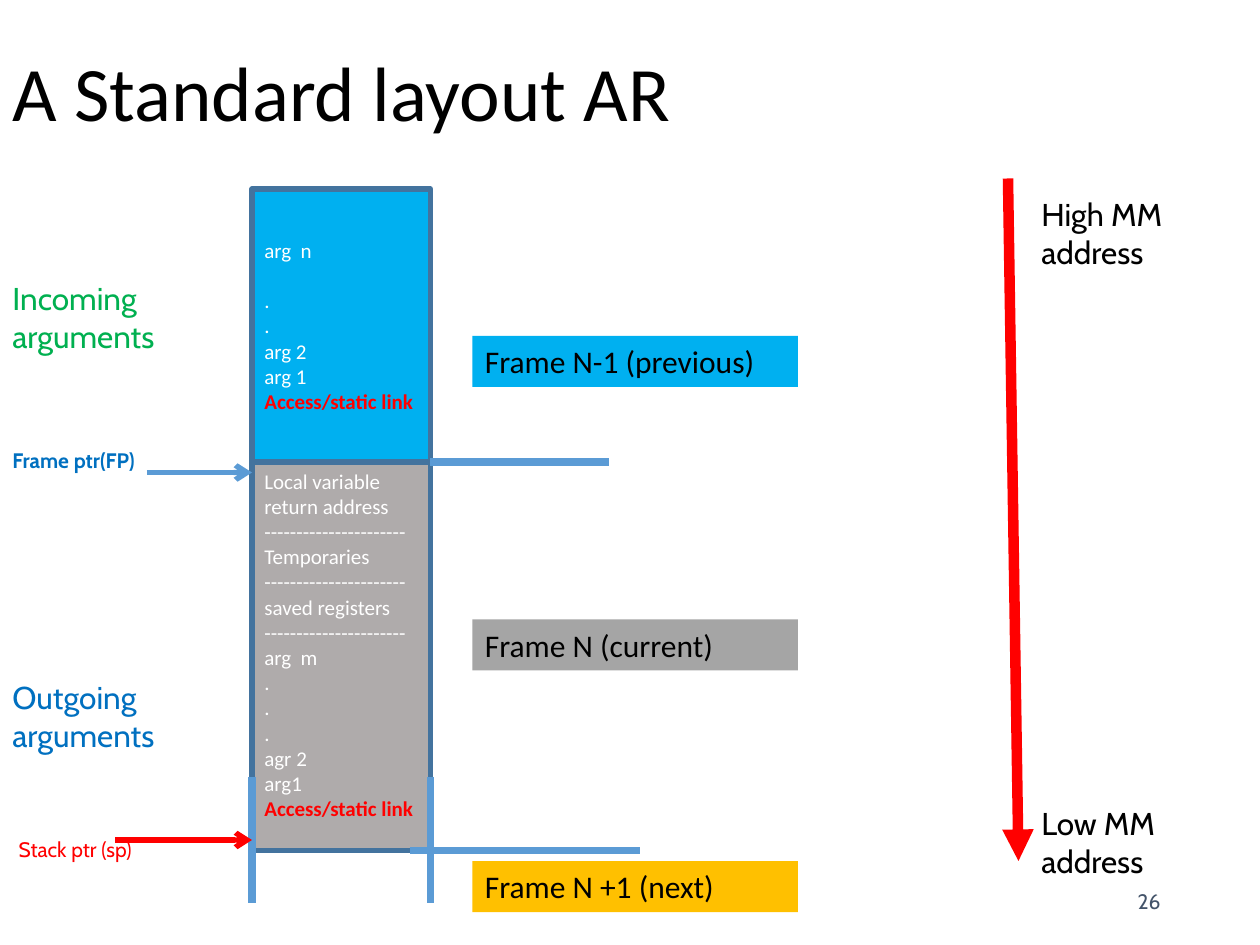
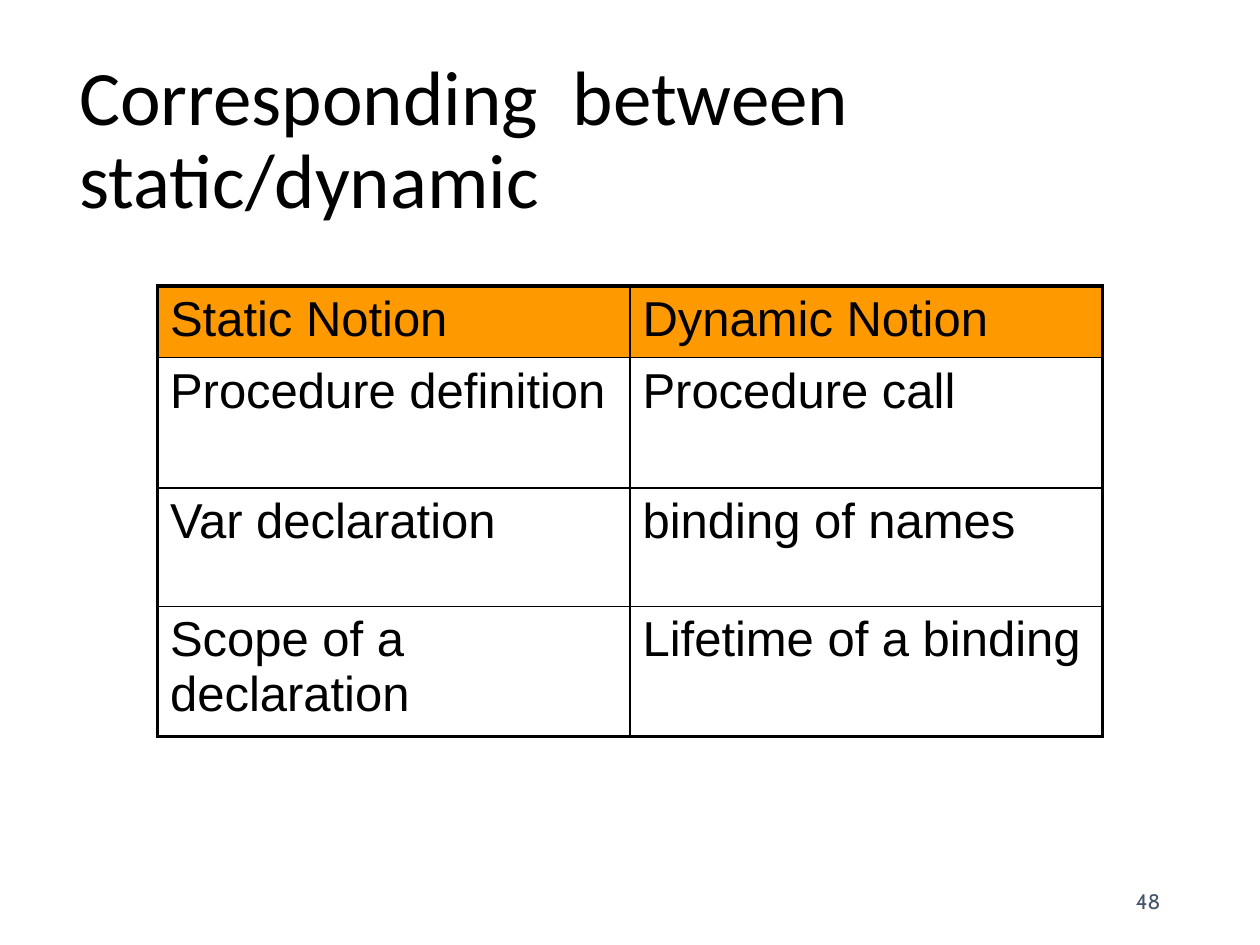
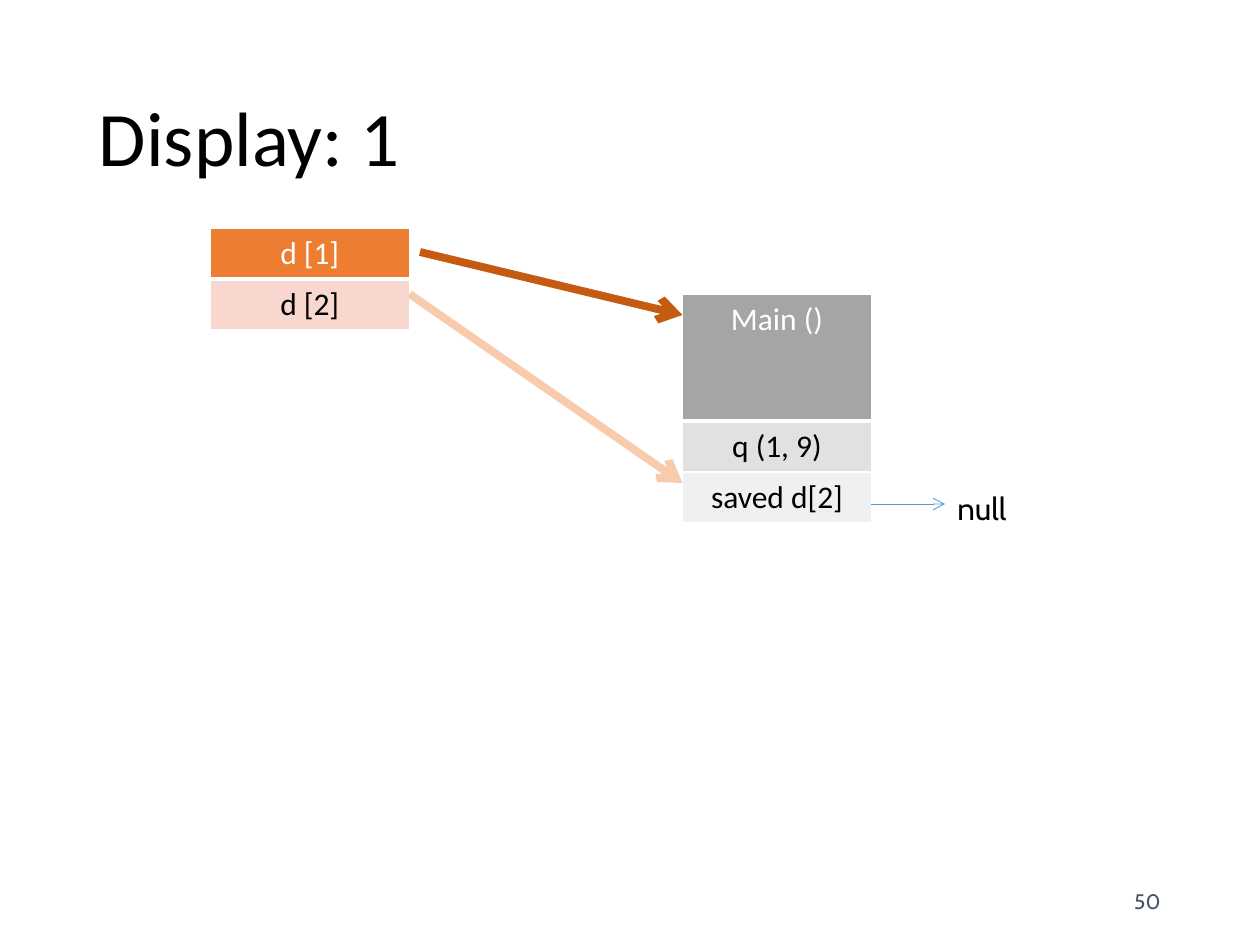
"""Build three slides on activation records: frame layout, notions and display."""
from dataclasses import dataclass
from typing import Optional

from lxml.etree import SubElement
from pptx import Presentation
from pptx.dml.color import RGBColor
from pptx.enum.shapes import MSO_CONNECTOR as Connector, MSO_SHAPE as Preset
from pptx.enum.text import MSO_ANCHOR as Anchor, PP_ALIGN as Align
from pptx.oxml.ns import qn
from pptx.slide import Slide
from pptx.text.text import TextFrame
from pptx.util import Emu, Inches, Pt

WIDTH, HEIGHT = Inches(10), Inches(7.5)
COLUMNS, ROWS = 120, 90


@dataclass(frozen=True)
class Theme:
    """Colours, fonts and type sizes of the deck."""
    ink: str = "000000"
    paper: str = "FFFFFF"
    slate: str = "44546A"
    red: str = "FF0000"
    green: str = "00B050"
    blue: str = "0070C0"
    sky: str = "00B0F0"
    steel: str = "5B9BD5"
    outline: str = "43739E"
    gray: str = "A5A5A5"
    warm_gray: str = "AFABAB"
    mid_gray: str = "E1E1E1"
    pale_gray: str = "F0F0F0"
    gold: str = "FFC000"
    amber: str = "FF9900"
    orange: str = "ED7D31"
    blush: str = "F8D7CE"
    rust: str = "C55A11"
    peach: str = "F8CBAD"
    body_font: str = "Calibri"
    note_font: str = "Cabin"
    table_font: str = "Arial"
    title_size: int = 44
    table_size: int = 28
    label_size: int = 18
    small_size: int = 12


THEME = Theme()


@dataclass(frozen=True)
class Area:
    """A rectangle in grid columns and rows."""
    left: float
    top: float
    width: float
    height: float

    def emu(self) -> tuple[Emu, Emu, Emu, Emu]:
        """Return left, top, width and height as lengths."""
        return across(self.left), down(self.top), across(self.width), down(self.height)


@dataclass(frozen=True)
class Style:
    """How a piece of text looks."""
    size: int
    font: str = THEME.body_font
    color: str = THEME.ink
    bold: bool = False
    align: Align = Align.LEFT


@dataclass(frozen=True)
class Note:
    """Free text on the slide."""
    text: str
    area: Area
    style: Style
    anchor: Anchor = Anchor.TOP


@dataclass(frozen=True)
class Block:
    """A filled rectangle with text."""
    text: str
    area: Area
    fill: str
    style: Style
    anchor: Anchor = Anchor.TOP
    outlined: bool = False


@dataclass(frozen=True)
class Stroke:
    """A straight line between two grid points."""
    start: tuple[float, float]
    end: tuple[float, float]
    color: str
    weight: float
    head: Optional[str] = None


@dataclass(frozen=True)
class Grid:
    """A table with one fill and text colour per row."""
    cells: list[list[str]]
    area: Area
    heights: list[float]
    fills: list[Optional[str]]
    inks: list[str]
    style: Style
    border: str
    outer: float
    inner: float
    below_header: float


TITLE = Style(THEME.title_size)
NUMBER = Style(THEME.small_size, THEME.note_font, THEME.slate, align=Align.RIGHT)
LABEL = Style(THEME.label_size)
SLOT = Style(THEME.small_size, color=THEME.paper)
LINK = Style(THEME.small_size, color=THEME.red, bold=True)
CELL = Style(THEME.label_size, align=Align.CENTER)
NUMBER_AREA = Area(84.7, 83.4, 27, 4.8)
SLOT_LINE = 14.5
LABEL_ROW = 4.86


def across(columns: float) -> Emu:
    """Turn grid columns into a length."""
    return Emu(round(WIDTH * columns / COLUMNS))


def down(rows: float) -> Emu:
    """Turn grid rows into a length."""
    return Emu(round(HEIGHT * rows / ROWS))


def note_style(color: str, size: int = THEME.label_size, bold: bool = False) -> Style:
    """Return the style of a margin note."""
    return Style(size, THEME.note_font, color, bold)


def apply_style(paragraph, style: Style) -> None:
    """Format the runs and alignment of one paragraph."""
    paragraph.alignment = style.align
    for run in paragraph.runs:
        run.font.size = Pt(style.size)
        run.font.name = style.font
        run.font.bold = style.bold
        run.font.color.rgb = RGBColor.from_string(style.color)


def write(frame: TextFrame, text: str, style: Style, anchor: Anchor) -> None:
    """Fill a text frame with styled text."""
    frame.word_wrap = True
    frame.vertical_anchor = anchor
    frame.text = text
    for paragraph in frame.paragraphs:
        apply_style(paragraph, style)


def draw_note(slide: Slide, note: Note) -> TextFrame:
    """Draw free text and return its frame."""
    frame = slide.shapes.add_textbox(*note.area.emu()).text_frame
    write(frame, note.text, note.style, note.anchor)
    return frame


def draw_block(slide: Slide, block: Block) -> TextFrame:
    """Draw a filled rectangle and return its text frame."""
    shape = slide.shapes.add_shape(Preset.RECTANGLE, *block.area.emu())
    shape.shadow.inherit = False
    shape.fill.solid()
    shape.fill.fore_color.rgb = RGBColor.from_string(block.fill)
    if block.outlined:
        shape.line.color.rgb = RGBColor.from_string(THEME.outline)
        shape.line.width = Pt(3)
    else:
        shape.line.fill.background()
    write(shape.text_frame, block.text, block.style, block.anchor)
    return shape.text_frame


def draw_stroke(slide: Slide, stroke: Stroke) -> None:
    """Draw a straight line, with an arrowhead if it has one."""
    (x1, y1), (x2, y2) = stroke.start, stroke.end
    connector = slide.shapes.add_connector(
        Connector.STRAIGHT, across(x1), down(y1), across(x2), down(y2))
    connector.line.color.rgb = RGBColor.from_string(stroke.color)
    connector.line.width = Pt(stroke.weight)
    properties = connector.element.spPr
    if stroke.head:
        SubElement(properties.find(qn("a:ln")), qn("a:tailEnd"), type=stroke.head)
    SubElement(properties, qn("a:effectLst"))


def draw_border(cell, side: str, color: str, weight: float) -> None:
    """Add one border line to a table cell."""
    line = SubElement(cell._tc.get_or_add_tcPr(), qn(f"a:ln{side}"), w=str(Pt(weight)))
    SubElement(SubElement(line, qn("a:solidFill")), qn("a:srgbClr"), val=color)


def draw_grid(slide: Slide, grid: Grid) -> None:
    """Draw a table with its fills and borders."""
    last_row, last_column = len(grid.cells) - 1, len(grid.cells[0]) - 1
    table = slide.shapes.add_table(last_row + 1, last_column + 1, *grid.area.emu()).table
    table.first_row = table.horz_banding = False
    for r, texts in enumerate(grid.cells):
        table.rows[r].height = down(grid.heights[r])
        base = grid.style
        style = Style(base.size, base.font, grid.inks[r], base.bold, base.align)
        for c, text in enumerate(texts):
            cell = table.cell(r, c)
            at_edge = {"L": c == 0, "R": c == last_column, "T": r == 0, "B": r == last_row}
            for side, is_outer in at_edge.items():
                weight = grid.outer if is_outer else grid.inner
                if r == 0 and side == "B":
                    weight = grid.below_header
                draw_border(cell, side, grid.border, weight)
            if grid.fills[r]:
                cell.fill.solid()
                cell.fill.fore_color.rgb = RGBColor.from_string(grid.fills[r])
            else:
                cell.fill.background()
            cell.text_frame.text = text
            apply_style(cell.text_frame.paragraphs[0], style)


def start_slide(deck, title: str, area: Area, number: int, indent: float = 0) -> Slide:
    """Add a blank slide with its title and number."""
    slide = deck.slides.add_slide(deck.slide_layouts[6])
    frame = draw_note(slide, Note(title, area, TITLE, Anchor.MIDDLE))
    frame.margin_left += across(indent)
    frame.paragraphs[0].line_spacing = 0.9
    draw_note(slide, Note(str(number), NUMBER_AREA, NUMBER, Anchor.MIDDLE))
    return slide


def build_layout(deck) -> None:
    """Build the slide on the standard record layout."""
    slide = start_slide(deck, "A Standard layout AR", Area(0, 0, 108, 18.4), 26)
    left, right, frame_top, frame_bottom = 24, 41, 44, 81
    width = right - left
    dashes = "-" * 22
    previous = draw_block(slide, Block(
        "arg  n\n.\n.\narg 2\narg 1\nAccess/static link",
        Area(left, 18, width, frame_top - 18), THEME.sky, SLOT, Anchor.MIDDLE, True))
    previous.paragraphs[1].space_before = Pt(SLOT_LINE)
    current = draw_block(slide, Block(
        f"Local variable\nreturn address\n{dashes}\nTemporaries\n{dashes}saved registers\n"
        f"{dashes}arg  m\n.\n.\n.\nagr 2\narg1\nAccess/static link",
        Area(left, frame_top, width, frame_bottom - frame_top), THEME.warm_gray, SLOT,
        outlined=True))
    for frame in (previous, current):
        apply_style(frame.paragraphs[-1], LINK)

    for text, top, fill in (("Frame N-1 (previous)", 32, THEME.sky),
                            ("Frame N (current)", 59, THEME.gray),
                            ("Frame N +1 (next)", 82, THEME.gold)):
        draw_block(slide, Block(text, Area(45, top, 31, LABEL_ROW), fill, LABEL))

    for stroke in (
            Stroke((right, frame_top), (58, frame_top), THEME.steel, 4.5),
            Stroke((39, frame_bottom), (61, frame_bottom), THEME.steel, 4.5),
            Stroke((left, 74), (left, 86), THEME.steel, 4.5),
            Stroke((right, 74), (right, 86), THEME.steel, 4.5),
            Stroke((11, 80), (left, 80), THEME.red, 3, "arrow"),
            Stroke((14, 45), (left, 45), THEME.steel, 3, "arrow"),
            Stroke((96, 17), (97, 82), THEME.red, 6, "triangle")):
        draw_stroke(slide, stroke)

    small = THEME.small_size
    for note in (
            Note("Stack ptr (sp)", Area(0.6, 79.1, 31, 3.6), note_style(THEME.red, small)),
            Note("Frame ptr(FP)", Area(0, 42, 31, 3.6), note_style(THEME.blue, small, True)),
            Note("Incoming\narguments", Area(0, 26, 22, 8.5), note_style(THEME.green)),
            Note("Outgoing\narguments", Area(0, 64, 20, 8.5), note_style(THEME.blue)),
            Note("High MM address", Area(98, 18, 22, 8.5), note_style(THEME.ink)),
            Note("Low MM address", Area(98, 76, 17, 8.5), note_style(THEME.ink))):
        draw_note(slide, note)


def build_notions(deck) -> None:
    """Build the slide that pairs static and dynamic notions."""
    slide = start_slide(deck, "Corresponding  between static/dynamic",
                        Area(0, 4.8, 115, 17.4), 48, indent=6.36)
    heights = [6.8, 12.4, 11.3, 12.4]
    draw_grid(slide, Grid(
        [["Static Notion", "Dynamic Notion"],
         ["Procedure definition", "Procedure call"],
         ["Var declaration", "binding of names"],
         ["Scope of a declaration", "Lifetime of a binding"]],
        Area(15, 27.25, 90, sum(heights)), heights,
        [THEME.amber, None, None, None], [THEME.ink] * 4,
        Style(THEME.table_size, THEME.table_font), THEME.ink, 2.25, 1, 1))


def build_display(deck) -> None:
    """Build the slide on the display and the stack it points into."""
    slide = start_slide(deck, "Display: 1", Area(8.25, 4.8, 103.5, 17.4), 50)
    for texts, left, top, width, heights, fills in (
            (["d [1]", "d [2]"], 20, 21.7, 19, [LABEL_ROW] * 2,
             [THEME.orange, THEME.blush]),
            (["Main ()", "q (1, 9)", "saved d[2]"], 65, 28, 18,
             [12.1, LABEL_ROW, LABEL_ROW],
             [THEME.gray, THEME.mid_gray, THEME.pale_gray])):
        inks = [THEME.paper] + [THEME.ink] * (len(texts) - 1)
        draw_grid(slide, Grid([[text] for text in texts],
                              Area(left, top, width, sum(heights)), heights, fills, inks,
                              CELL, THEME.paper, 1, 1, 3))
    for stroke in (Stroke((40, 24), (65, 30), THEME.rust, 4.5, "arrow"),
                   Stroke((39, 28), (65, 46), THEME.peach, 4.5, "arrow"),
                   Stroke((83, 48), (90, 48), THEME.steel, 0.5, "arrow")):
        draw_stroke(slide, stroke)
    draw_note(slide, Note("null", Area(90, 46, 10, LABEL_ROW), note_style(THEME.ink)))


def main() -> None:
    """Build and save the deck."""
    deck = Presentation()
    deck.slide_width, deck.slide_height = WIDTH, HEIGHT
    build_layout(deck)
    build_notions(deck)
    build_display(deck)
    deck.save("out.pptx")


if __name__ == "__main__":
    main()
